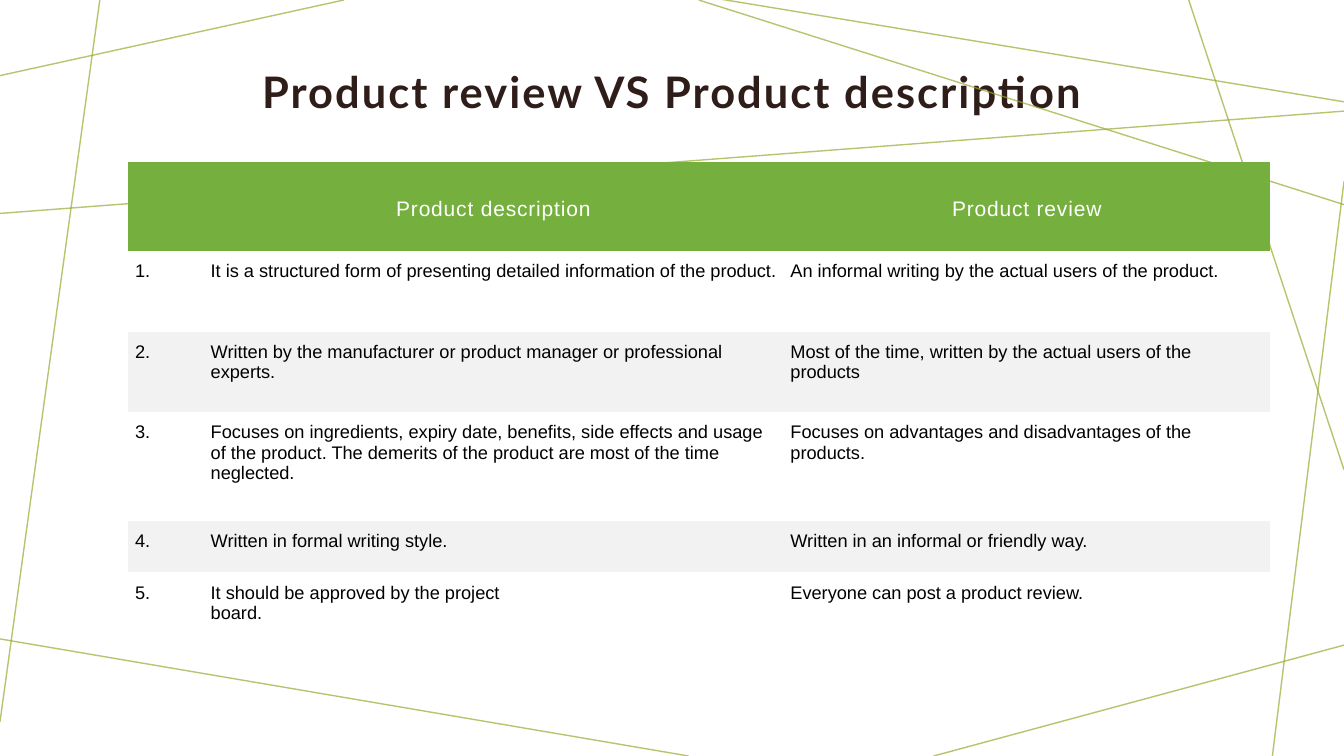
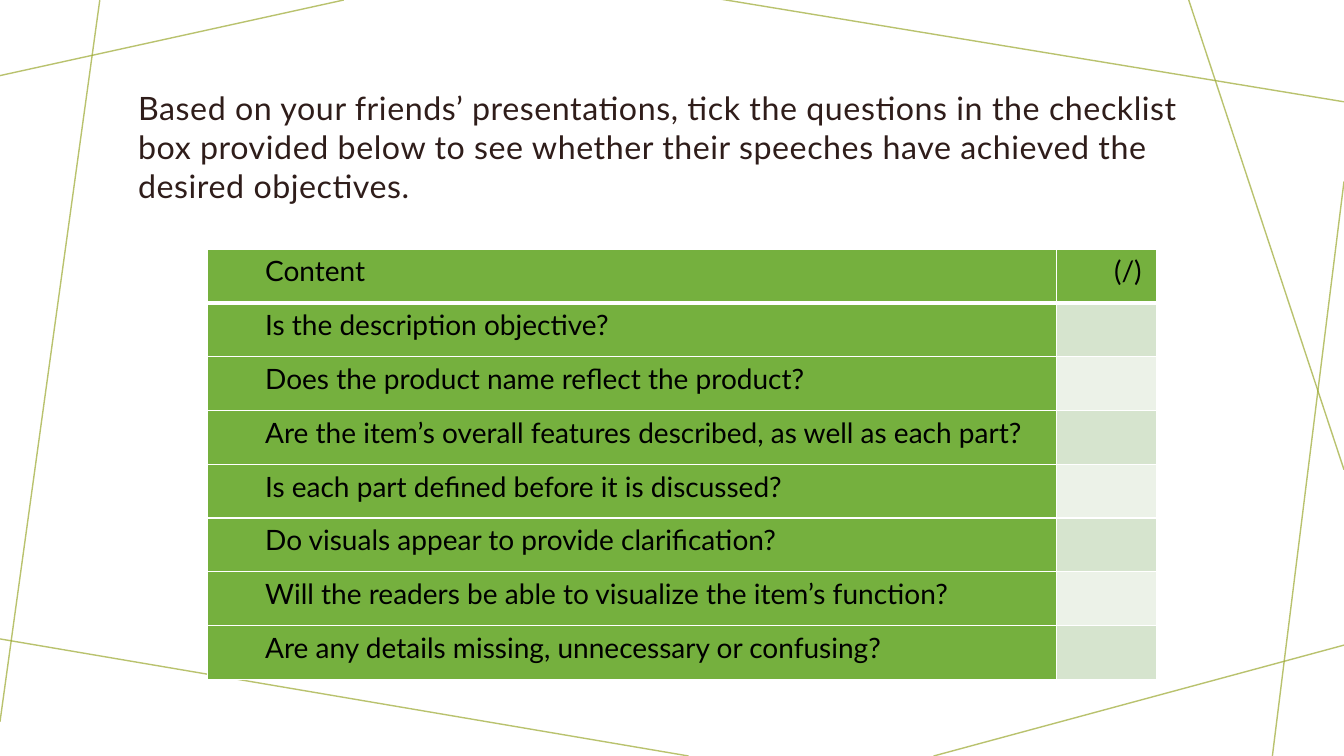
from lxml import etree
from pptx import Presentation
from pptx.dml.color import RGBColor
from pptx.enum.shapes import MSO_CONNECTOR
from pptx.enum.text import MSO_ANCHOR, PP_ALIGN
from pptx.oxml.ns import qn
from pptx.util import Pt

PX = 9144  # EMU per px, 100 px to the inch
W, H = 1333, 750
STRAIGHT = MSO_CONNECTOR.STRAIGHT
TOP, MIDDLE = MSO_ANCHOR.TOP, MSO_ANCHOR.MIDDLE
LEFT, CENTER, JUSTIFY = PP_ALIGN.LEFT, PP_ALIGN.CENTER, PP_ALIGN.JUSTIFY

COLORS = {
    "line": "9CA931", "title": "2F1D1A", "green": "75B03E", "white": "FFFFFF",
    "black": "000000", "band": "F2F2F2", "tick_odd": "D6E4CE", "tick_even": "ECF2E8",
}

# Content
FRAME_LINES = [
    (341, 0, 0, 75), (99, 0, 0, 716), (683, 750, -5, 633), (W, 640, 926, 750),
    (W, 180, 1262, 750), (W, 466, 1179, 0), (W, 101, 714, -1),
]
COMPARISON_LINES = [(693, 0, W, 203), (-3, 212, 1336, 110)]

TITLE = "Product review VS Product description"
COMPARISON_HEAD = ("", "Product description", "Product review")
COMPARISON = [
    ("It is a structured form of presenting detailed information of the product.",
     "An informal writing by the actual users of the product."),
    ("Written by the manufacturer or product manager or professional experts.",
     "Most of the time, written by the actual users of the products"),
    ("Focuses on ingredients, expiry date, benefits, side effects and usage of the product. "
     "The demerits of the product are most of the time neglected.",
     "Focuses on advantages and disadvantages of the products."),
    ("Written in formal writing style.", "Written in an informal or friendly way."),
    ("It should be approved by the project\vboard.", "Everyone can post a product review."),
]
COMPARISON_COLS = (75, 575, 483)
COMPARISON_ROWS = (88, 80, 80, 108, 51, 80)

INSTRUCTION = ("Based on your friends’ presentations, tick the questions in the checklist box "
               "provided below to see whether their speeches have achieved the desired objectives.")
CHECKLIST_HEAD = ("Content", "(/)")
QUESTIONS = [
    "Is the description objective?",
    "Does the product name reflect the product?",
    "Are the item’s overall features described, as well as each part?",
    "Is each part defined before it is discussed?",
    "Do visuals appear to provide clarification?",
    "Will the readers be able to visualize the item’s function?",
    "Are any details missing, unnecessary or confusing?",
]
CHECKLIST_COLS = (842, 99)
CHECKLIST_ROW = 53.4


def px(n):
    return round(n * PX)


def rgb(name):
    return RGBColor.from_string(COLORS[name])


def add_line(s, x1, y1, x2, y2):
    c = s.shapes.add_connector(STRAIGHT, px(x1), px(y1), px(x2), px(y2))
    c.line.width = Pt(1)
    c.line.color.rgb = rgb("line")
    sp_pr = c._element.spPr
    clr = sp_pr.find(".//" + qn("a:srgbClr"))
    etree.SubElement(clr, qn("a:alpha"), val="70000")
    etree.SubElement(sp_pr, qn("a:effectLst"))


def add_frame_slide(prs):
    s = prs.slides.add_slide(prs.slide_layouts[6])
    for line in FRAME_LINES:
        add_line(s, *line)
    return s


def set_text(tf, text, font, size, color, align=LEFT, bold=False, spc=0):
    """Write one styled paragraph; spc is letter spacing in points."""
    tf.text = text
    p = tf.paragraphs[0]
    p.alignment = align
    for r in p.runs:
        r.font.name, r.font.size, r.font.bold = font, Pt(size), bold
        r.font.color.rgb = rgb(color)
        r._r.get_or_add_rPr().set("spc", str(round(spc * 100)))
    return p


def add_text(s, x, y, w, h, text, anchor=TOP, **style):
    tf = s.shapes.add_textbox(px(x), px(y), px(w), px(h)).text_frame
    tf.word_wrap = True
    tf.vertical_anchor = anchor
    tf.margin_left = tf.margin_right = tf.margin_top = px(12)
    tf.margin_bottom = px(10)
    return set_text(tf, text, "Lato", color="title", **style)


def add_table(s, x, y, cols, rows):
    shape = s.shapes.add_table(len(rows), len(cols), px(x), px(y), px(sum(cols)), px(sum(rows)))
    table = shape.table
    for col, w in zip(table.columns, cols):
        col.width = px(w)
    for row, h in zip(table.rows, rows):
        row.height = px(h)
    return table


def style_cell(cell, fill, top, bottom, borders=None):
    """Set margins, borders (widths in points by side, or none) and fill."""
    cell.margin_left = cell.margin_right = px(7)
    cell.margin_top, cell.margin_bottom = px(top), px(bottom)
    tc_pr = cell._tc.get_or_add_tcPr()
    for side in "LRTB":
        ln = etree.SubElement(tc_pr, qn("a:ln" + side))
        if borders:
            ln.set("w", str(Pt(borders[side])))
            solid = etree.SubElement(ln, qn("a:solidFill"))
            etree.SubElement(solid, qn("a:srgbClr"), val=COLORS["white"])
        else:
            etree.SubElement(ln, qn("a:noFill"))
    if fill:
        cell.fill.solid()
        cell.fill.fore_color.rgb = rgb(fill)
    else:
        cell.fill.background()


def build_comparison(prs):
    s = add_frame_slide(prs)
    p = add_text(s, 215, 37, 903, 110, TITLE, anchor=MIDDLE, size=31,
                 align=CENTER, bold=True, spc=1.5)
    p.line_spacing = 0.95
    for line in COMPARISON_LINES:
        add_line(s, *line)

    # Numbered comparison table
    table = add_table(s, 127, 161, COMPARISON_COLS, COMPARISON_ROWS)
    body = [(f"{n}.", *pair) for n, pair in enumerate(COMPARISON, 1)]
    for i, row in enumerate([COMPARISON_HEAD] + body):
        head = i == 0
        fill = "green" if head else "band" if i % 2 == 0 else None
        for j, text in enumerate(row):
            cell = table.cell(i, j)
            style_cell(cell, fill, 10, 5)
            if head:
                cell.vertical_anchor = MIDDLE
                set_text(cell.text_frame, text, "Arial", 15, "white", CENTER, spc=0.6)
            else:
                set_text(cell.text_frame, text, "Arial", 13, "black")


def build_checklist(prs):
    s = add_frame_slide(prs)
    p = add_text(s, 125, 76, 1083, 584, INSTRUCTION, size=23, spc=0.4)
    p.space_before = Pt(10)

    # Checklist with an empty tick column
    rows = [CHECKLIST_HEAD] + [(q, "") for q in QUESTIONS]
    table = add_table(s, 206, 247, CHECKLIST_COLS, [CHECKLIST_ROW] * len(rows))
    for i, row in enumerate(rows):
        borders = {"L": 1, "R": 1, "T": 3 if i == 1 else 1, "B": 3 if i == 0 else 1}
        tick_fill = "green" if i == 0 else "tick_odd" if i % 2 else "tick_even"
        for j, (text, fill) in enumerate(zip(row, ("green", tick_fill))):
            cell = table.cell(i, j)
            style_cell(cell, fill, 0, 0, borders)
            if text:
                p = set_text(cell.text_frame, text, "Lato", 20, "black", JUSTIFY)
                p.line_spacing = 1.15
                p._p.get_or_add_pPr().set("indent", str(px(50)))


def main():
    prs = Presentation()
    prs.slide_width, prs.slide_height = px(W), px(H)
    build_comparison(prs)
    build_checklist(prs)
    prs.save("out.pptx")


if __name__ == "__main__":
    main()
